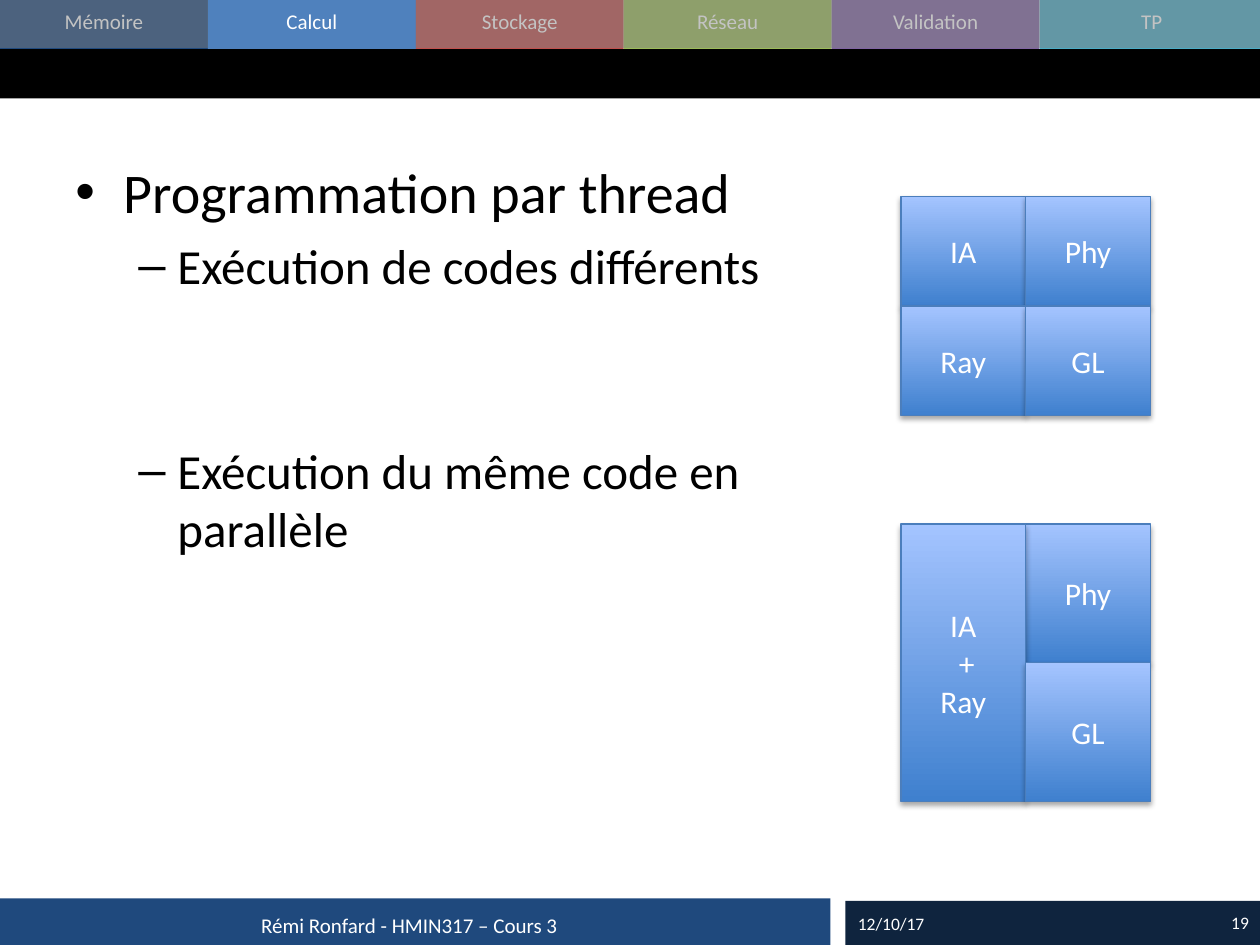
import lxml.etree
import pptx
import pptx.dml.color
import pptx.enum.shapes
import pptx.enum.text
import pptx.oxml
import pptx.oxml.ns
import pptx.util

WIDTH, HEIGHT = 10, 7.5
TAB_WIDTH, BAR_HEIGHT = 1.65, 0.39
FONT = "Calibri"
COLORS = {
    "navy": "1F497D", "blue": "4F81BD", "red": "C0504D", "green": "9BBB59",
    "purple": "8064A2", "teal": "4BACC6", "dark": "0F243E", "black": "000000",
    "white": "FFFFFF", "veil": "808080", "block_bottom": "3F80CE",
    "block_top": "A4C4FF", "block_line": "4B7EBC",
}
TABS = [("Mémoire", "navy"), ("Calcul", "blue"), ("Stockage", "red"),
        ("Réseau", "green"), ("Validation", "purple"), ("TP", "teal")]
ALIGN = pptx.enum.text.PP_ALIGN
ANCHOR = pptx.enum.text.MSO_ANCHOR


def color(name):
    return pptx.dml.color.RGBColor.from_string(COLORS[name])


def inches(*lengths):
    return [pptx.util.Inches(length) for length in lengths]


def add_xml(parent, markup):
    namespace = pptx.oxml.ns.nsdecls("a")
    element = pptx.oxml.parse_xml(markup.replace(">", f" {namespace}>", 1))
    parent.append(element)


def add_run(paragraph, text, size, color_name):
    run = paragraph.add_run()
    run.text = text
    run.font.name = FONT
    run.font.size = pptx.util.Pt(size)
    run.font.color.rgb = color(color_name)


def add_bar(slide, box, color_name, opacity=None):
    shape = slide.shapes.add_shape(
        pptx.enum.shapes.MSO_SHAPE.RECTANGLE, *inches(*box))
    shape.shadow.inherit = False
    shape.fill.solid()
    shape.fill.fore_color.rgb = color(color_name)
    shape.line.fill.background()
    if opacity is not None:
        fill_color = shape.fill._xPr.find(".//" + pptx.oxml.ns.qn("a:srgbClr"))
        alpha = lxml.etree.SubElement(fill_color, pptx.oxml.ns.qn("a:alpha"))
        alpha.set("val", str(opacity * 1000))


def add_label(slide, box, text, size, align, anchor=ANCHOR.MIDDLE, right_inset=0.1):
    frame = slide.shapes.add_textbox(*inches(*box)).text_frame
    frame.word_wrap = True
    frame.vertical_anchor = anchor
    frame.margin_right = pptx.util.Inches(right_inset)
    paragraph = frame.paragraphs[0]
    paragraph.alignment = align
    add_run(paragraph, text, size, "white")


def add_tabs(slide):
    last = len(TABS) - 1
    boxes = [(index * TAB_WIDTH, 0, 1.78 if index == last else TAB_WIDTH, BAR_HEIGHT)
             for index in range(len(TABS))]
    for box, (_, color_name) in zip(boxes, TABS):
        add_bar(slide, box, color_name)
    for (left, _, width, _), (name, _) in zip(boxes, TABS):
        add_label(slide, (left, 0.02, width, 0.3), name, 12, ALIGN.CENTER, ANCHOR.TOP)


def add_veils(slide):
    """Dim every tab except the current one, the second."""
    for left, width in [(2 * TAB_WIDTH, 6.73), (0, TAB_WIDTH)]:
        add_bar(slide, (left, -0.01, width, BAR_HEIGHT), "veil", 47)


def add_bullet(paragraph, text, size, bullet, indent, hanging, level, space_before):
    paragraph.level = level
    paragraph.space_before = pptx.util.Pt(space_before)
    properties = paragraph._p.get_or_add_pPr()
    properties.set("marL", str(pptx.util.Inches(indent)))
    properties.set("indent", str(-pptx.util.Inches(hanging)))
    add_xml(properties, '<a:buFont typeface="Arial"></a:buFont>')
    add_xml(properties, f'<a:buChar char="{bullet}"></a:buChar>')
    add_run(paragraph, text, size, "black")


def add_body(slide):
    frame = slide.shapes.add_textbox(*inches(0.5, 1.2, 5.8, 5.5)).text_frame
    frame.word_wrap = True
    add_bullet(frame.paragraphs[0], "Programmation par thread",
               32, "•", 0.38, 0.38, 0, 0)
    for text, space_before in [("Exécution de codes différents", 6),
                               ("Exécution du même code en parallèle", 83.5)]:
        add_bullet(frame.add_paragraph(), text, 28, "–", 0.81, 0.31, 1, space_before)


def add_block(group, box, lines):
    shape = group.shapes.add_shape(
        pptx.enum.shapes.MSO_SHAPE.RECTANGLE, *inches(*box))
    shape.fill.gradient()
    shape.fill.gradient_angle = 90
    for stop, name in zip(shape.fill.gradient_stops, ("block_bottom", "block_top")):
        stop.color.rgb = color(name)
    for stop, position in zip(shape.fill.gradient_stops, (0, 1)):
        stop.position = position
    shape.line.color.rgb = color("block_line")
    shape.line.width = pptx.util.Pt(0.75)
    add_xml(shape._element.spPr, (
        '<a:effectLst><a:outerShdw blurRad="40000" dist="23000" dir="5400000" '
        'rotWithShape="0"><a:srgbClr val="000000"><a:alpha val="35000"/>'
        '</a:srgbClr></a:outerShdw></a:effectLst>'))
    frame = shape.text_frame
    frame.vertical_anchor = ANCHOR.MIDDLE
    for index, line in enumerate(lines):
        paragraph = frame.add_paragraph() if index else frame.paragraphs[0]
        paragraph.alignment = ALIGN.CENTER
        add_run(paragraph, line, 18, "white")


def add_block_grid(slide, top, row_height, blocks):
    """Each block is (column, row, rows spanned, lines of text)."""
    left, column_width = 7.15, 0.99
    group = slide.shapes.add_group_shape()
    for column, row, span, lines in blocks:
        box = (left + column * column_width, top + row * row_height,
               column_width, span * row_height)
        add_block(group, box, lines)


def main():
    presentation = pptx.Presentation()
    presentation.slide_width, presentation.slide_height = inches(WIDTH, HEIGHT)
    slide = presentation.slides.add_slide(presentation.slide_layouts[6])

    add_tabs(slide)
    add_bar(slide, (0, BAR_HEIGHT, 10.04, BAR_HEIGHT), "black")
    add_bar(slide, (-0.01, 7.13, 6.6, 0.38), "navy")
    add_bar(slide, (6.71, 7.15, 3.31, 0.38), "dark")
    add_veils(slide)
    add_body(slide)
    add_label(slide, (-0.01, 7.15, 6.6, 0.38), "Rémi Ronfard - HMIN317 – Cours 3",
              12, ALIGN.CENTER, right_inset=0.18)
    add_block_grid(slide, 1.56, 0.87, [
        (0, 0, 1, ["IA"]), (1, 0, 1, ["Phy"]),
        (0, 1, 1, ["Ray"]), (1, 1, 1, ["GL"])])
    add_block_grid(slide, 4.16, 1.1, [
        (1, 0, 1, ["Phy"]), (0, 0, 2, ["IA", " +", "Ray"]), (1, 1, 1, ["GL"])])
    add_label(slide, (6.71, 7.14, 0.98, 0.38), "12/10/17", 10, ALIGN.LEFT)
    add_label(slide, (7.68, 7.14, 2.33, 0.37), "19", 10, ALIGN.RIGHT)

    presentation.save("out.pptx")


if __name__ == "__main__":
    main()
